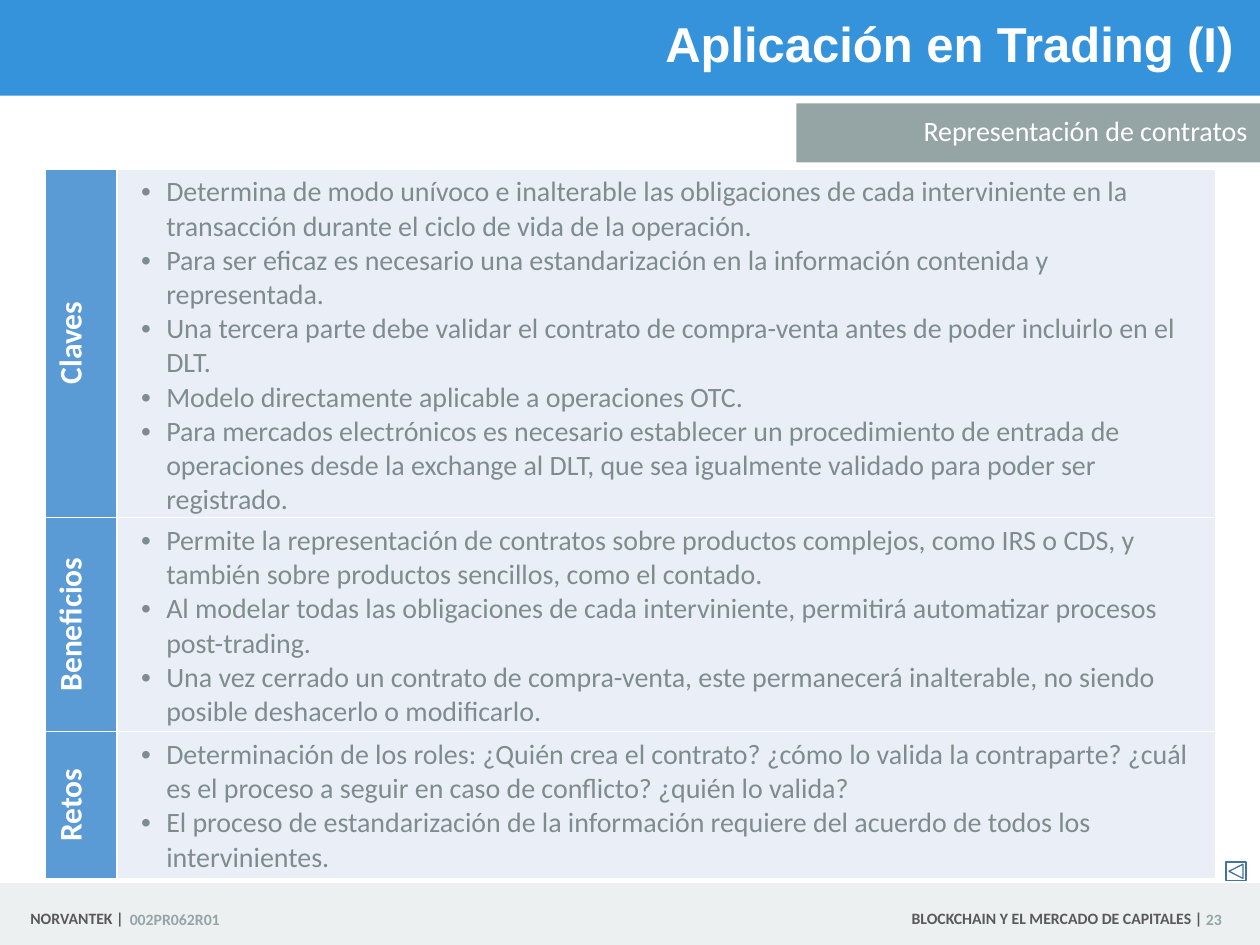
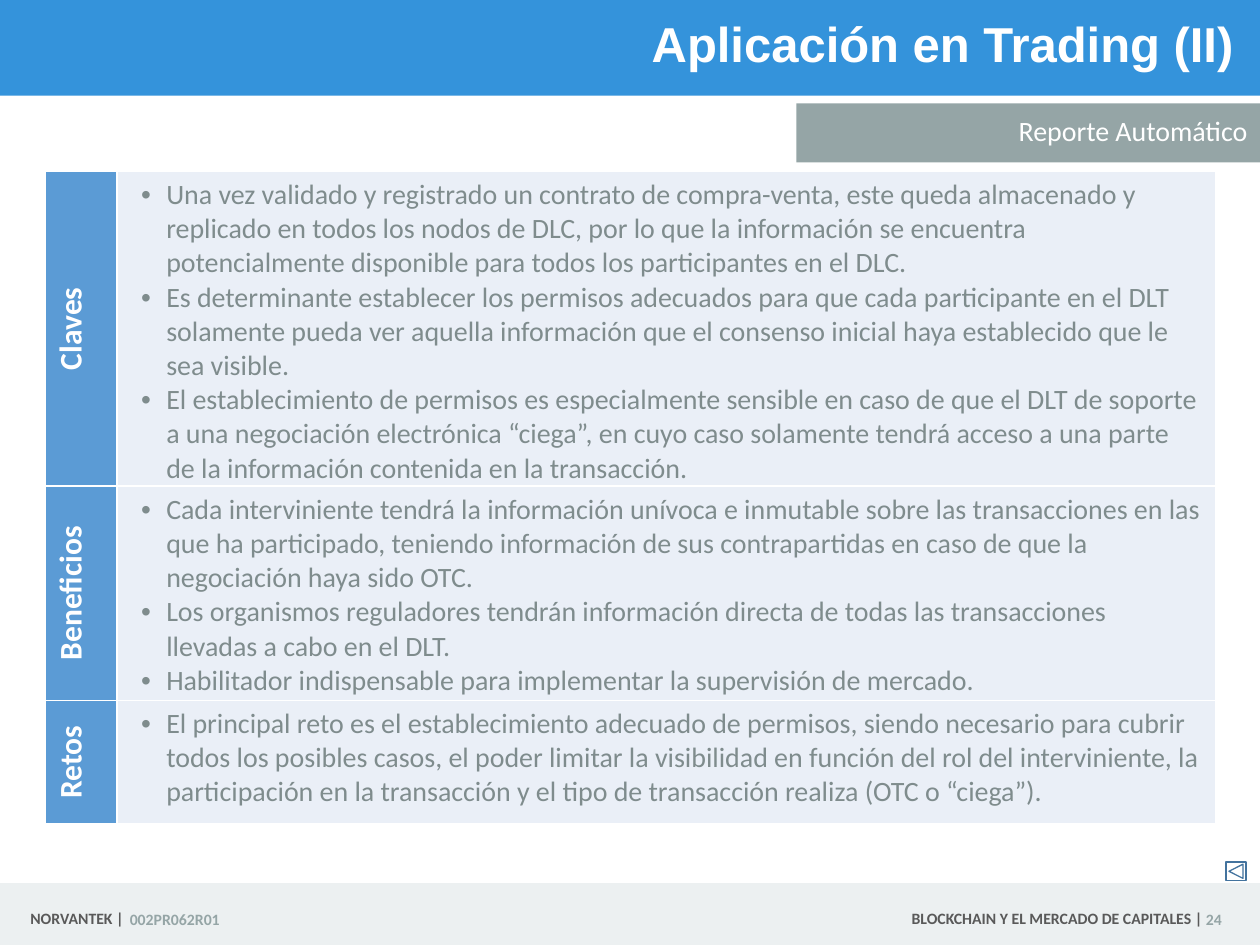
from pptx import Presentation
from pptx.dml.color import RGBColor
from pptx.enum import shapes as sh, text as tx
from pptx.oxml import parse_xml, ns
from pptx.util import Inches, Pt

BLUE = RGBColor(0x34, 0x93, 0xDB)
PALE = RGBColor(0xEC, 0xF0, 0xF1)
GRAY = RGBColor(0x95, 0xA5, 0xA6)
DARK = RGBColor(0x59, 0x59, 0x59)
WHITE = RGBColor(0xFF, 0xFF, 0xFF)
HEAD = RGBColor(0x5B, 0x9B, 0xD5)
CELL = RGBColor(0xEA, 0xEF, 0xF7)
BODY = RGBColor(0x7F, 0x8C, 0x8D)
NAVY = RGBColor(0x43, 0x73, 0x9E)

LEFT, MID, RIGHT = tx.PP_ALIGN.LEFT, tx.PP_ALIGN.CENTER, tx.PP_ALIGN.RIGHT
LABELS = ("Claves", "Beneficios", "Retos")

PAGES = [
    dict(
        title="Aplicación en Trading (I)", topic="Representación de contratos",
        page=23, top=1.34, rows=(1.67, 1.22, 1.13),
        lists=(
            ("Determina de modo unívoco e inalterable las obligaciones de cada "
             "interviniente en la transacción durante el ciclo de vida de la operación.",
             "Para ser eficaz es necesario una estandarización en la información "
             "contenida y representada.",
             "Una tercera parte debe validar el contrato de compra-venta antes de "
             "poder incluirlo en el DLT.",
             "Modelo directamente aplicable a operaciones OTC.",
             "Para mercados electrónicos es necesario establecer un procedimiento de "
             "entrada de operaciones desde la exchange al DLT, que sea igualmente "
             "validado para poder ser registrado."),
            ("Permite la representación de contratos sobre productos complejos, como "
             "IRS o CDS, y también sobre productos sencillos, como el contado.",
             "Al modelar todas las obligaciones de cada interviniente, permitirá "
             "automatizar procesos post-trading.",
             "Una vez cerrado un contrato de compra-venta, este permanecerá "
             "inalterable, no siendo posible deshacerlo o modificarlo."),
            ("Determinación de los roles: ¿Quién crea el contrato? ¿cómo lo valida la "
             "contraparte? ¿cuál es el proceso a seguir en caso de conflicto? ¿quién "
             "lo valida?",
             "El proceso de estandarización de la información requiere del acuerdo de "
             "todos los intervinientes."),
        )),
    dict(
        title="Aplicación en Trading (II)", topic="Reporte Automático",
        page=24, top=1.36, rows=(2.26, 1.54, 0.98),
        lists=(
            ("Una vez validado y registrado un contrato de compra-venta, este queda "
             "almacenado y replicado en todos los nodos de DLC, por lo que la "
             "información se encuentra potencialmente disponible para todos los "
             "participantes en el DLC.",
             "Es determinante establecer los permisos adecuados para que cada "
             "participante en el DLT solamente pueda ver aquella información que el "
             "consenso inicial haya establecido que le sea visible.",
             "El establecimiento de permisos es especialmente sensible en caso de que "
             "el DLT de soporte a una negociación electrónica “ciega”, en cuyo caso "
             "solamente tendrá acceso a una parte de la información contenida en la "
             "transacción."),
            ("Cada interviniente tendrá la información unívoca e inmutable sobre las "
             "transacciones en las que ha participado, teniendo información de sus "
             "contrapartidas en caso de que la negociación haya sido OTC.",
             "Los organismos reguladores tendrán información directa de todas las "
             "transacciones llevadas a cabo en el DLT.",
             "Habilitador indispensable para implementar la supervisión de mercado."),
            ("El principal reto es el establecimiento adecuado de permisos, siendo "
             "necesario para cubrir todos los posibles casos, el poder limitar la "
             "visibilidad en función del rol del interviniente, la participación en la "
             "transacción y el tipo de transacción realiza (OTC o “ciega”).",),
        )),
]


class Deck:
    """Holds the style and the current slide."""

    def __init__(self):
        """Open a blank 4:3 deck."""
        self.prs = Presentation()
        self.prs.slide_width, self.prs.slide_height = Inches(10), Inches(7.5)
        self.slide = None

    def style(self, frame, size, color, bold=False, align=LEFT, font="Calibri"):
        """Format every paragraph and run of a text frame."""
        for par in frame.paragraphs:
            par.alignment = align
            for run in par.runs:
                run.font.name, run.font.size = font, Pt(size)
                run.font.bold, run.font.color.rgb = bold, color

    def shape(self, kind, box, fill=None, line=None):
        """Add a preset shape with an optional fill and line."""
        item = self.slide.shapes.add_shape(kind, *map(Inches, box))
        item.shadow.inherit = False
        if fill is None:
            item.fill.background()
        else:
            item.fill.solid()
            item.fill.fore_color.rgb = fill
        if line is None:
            item.line.fill.background()
        else:
            item.line.color.rgb, item.line.width = line, Pt(0.75)
        return item

    def band(self, box, fill):
        """Add a plain filled rectangle."""
        return self.shape(sh.MSO_SHAPE.RECTANGLE, box, fill)

    def note(self, words, box, color, align=LEFT, pad=(0, 0.1)):
        """Add one small bold footer text; pad is the left and right inset."""
        frame = self.slide.shapes.add_textbox(*map(Inches, box)).text_frame
        frame.text, frame.word_wrap = words, True
        frame.vertical_anchor = tx.MSO_ANCHOR.MIDDLE
        frame.margin_left, frame.margin_right = map(Inches, pad)
        self.style(frame, 9, color, True, align)

    def title(self, words):
        """Place the title in front of the top band."""
        item = self.slide.shapes.title
        item.left, item.top, item.width, item.height = map(
            Inches, (4.23, 0.01, 5.66, 0.72))
        frame = item.text_frame
        frame.text, frame.vertical_anchor = words, tx.MSO_ANCHOR.MIDDLE
        frame.paragraphs[0].line_spacing = 0.9
        self.style(frame, 28, WHITE, True, RIGHT, "Arial")
        item.element.addprevious(self.band((0, 0, 10, 0.76), BLUE).element)

    def footer(self, page):
        """Add the bottom band, its texts and the page number."""
        self.band((0, 7.01, 10, 0.53), PALE)
        self.note("NORVANTEK |", (0.09, 7.13, 0.89, 0.31), DARK, RIGHT, (0, 0))
        self.note("002PR062R01", (1.03, 7.14, 0.89, 0.31), GRAY)
        self.note("BLOCKCHAIN Y EL MERCADO DE CAPITALES |",
                  (6.16, 7.13, 3.38, 0.31), DARK, RIGHT, (0.1, 0))
        self.note(str(page), (9.54, 7.14, 0.35, 0.31), GRAY, pad=(0.03, 0.1))

    def topic(self, words):
        """Add the gray tag below the title."""
        frame = self.band((6.32, 0.82, 3.68, 0.47), GRAY).text_frame
        frame.text, frame.vertical_anchor = words, tx.MSO_ANCHOR.MIDDLE
        par = frame.paragraphs[0]
        par.line_spacing, par.space_before = 0.9, Pt(10)
        self.style(frame, 16, WHITE, align=RIGHT)

    def cell(self, cell, words, fill):
        """Set the text, white borders and fill of a table cell."""
        cell.text_frame.text = words
        props = cell._tc.get_or_add_tcPr()
        for side in "LRTB":
            props.append(parse_xml(
                f'<a:ln{side} {ns.nsdecls("a")} w="12700"><a:solidFill>'
                f'<a:srgbClr val="{WHITE}"/></a:solidFill></a:ln{side}>'))
        cell.fill.solid()
        cell.fill.fore_color.rgb = fill
        return props

    def bullets(self, frame):
        """Give each paragraph a hanging bullet."""
        for par in frame.paragraphs:
            par.level = 1
            props = par._p.get_or_add_pPr()
            props.set("marL", str(Inches(0.29)))
            props.set("indent", str(Inches(-0.2)))
            props.append(parse_xml(f'<a:buFont {ns.nsdecls("a")} typeface="Arial"/>'))
            props.append(parse_xml(f'<a:buChar {ns.nsdecls("a")} char="•"/>'))

    def table(self, top, rows, lists):
        """Add the table of upright labels and bullet lists."""
        grid = self.slide.shapes.add_table(
            len(rows), 2, Inches(0.36), Inches(top), Inches(9.29),
            Inches(sum(rows))).table
        grid.first_row = grid.horz_banding = False
        for col, width in zip(grid.columns, (0.57, 8.72)):
            col.width = Inches(width)
        for row, high, label, items in zip(grid.rows, rows, LABELS, lists):
            row.height = Inches(high)
            head, body = row.cells
            self.cell(head, label, HEAD).set("vert", "vert270")
            self.style(head.text_frame, 18, WHITE, True, MID)
            self.cell(body, "\n".join(items), CELL)
            self.style(body.text_frame, 16, BODY)
            self.bullets(body.text_frame)

    def page(self, title, topic, page, top, rows, lists):
        """Build one whole slide."""
        self.slide = self.prs.slides.add_slide(self.prs.slide_layouts[5])
        self.title(title)
        self.footer(page)
        self.topic(topic)
        self.table(top, rows, lists)
        self.shape(sh.MSO_SHAPE.ACTION_BUTTON_BACK_OR_PREVIOUS,
                   (9.73, 6.84, 0.16, 0.15), line=NAVY)


deck = Deck()
for data in PAGES:
    deck.page(**data)
deck.prs.save("out.pptx")
